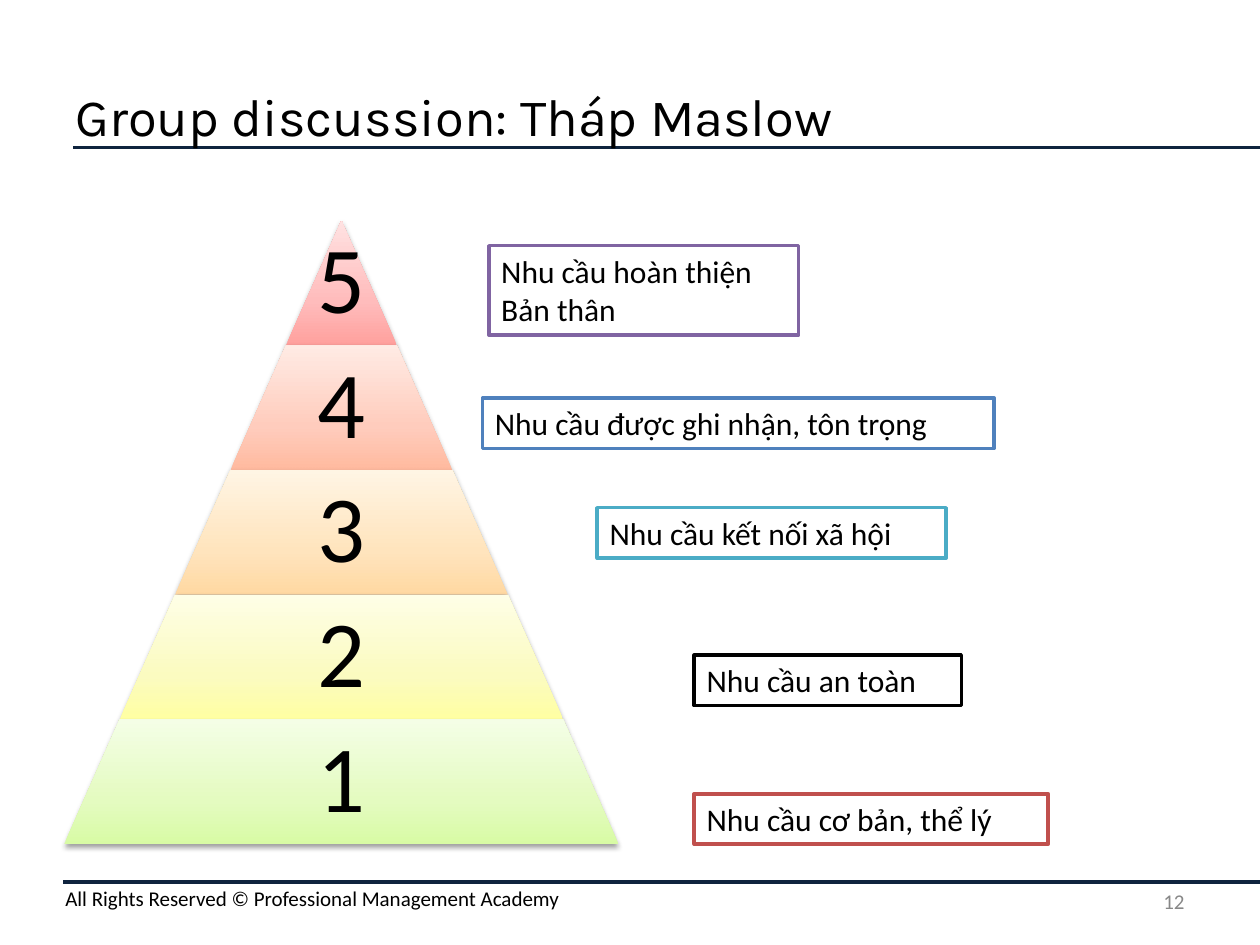
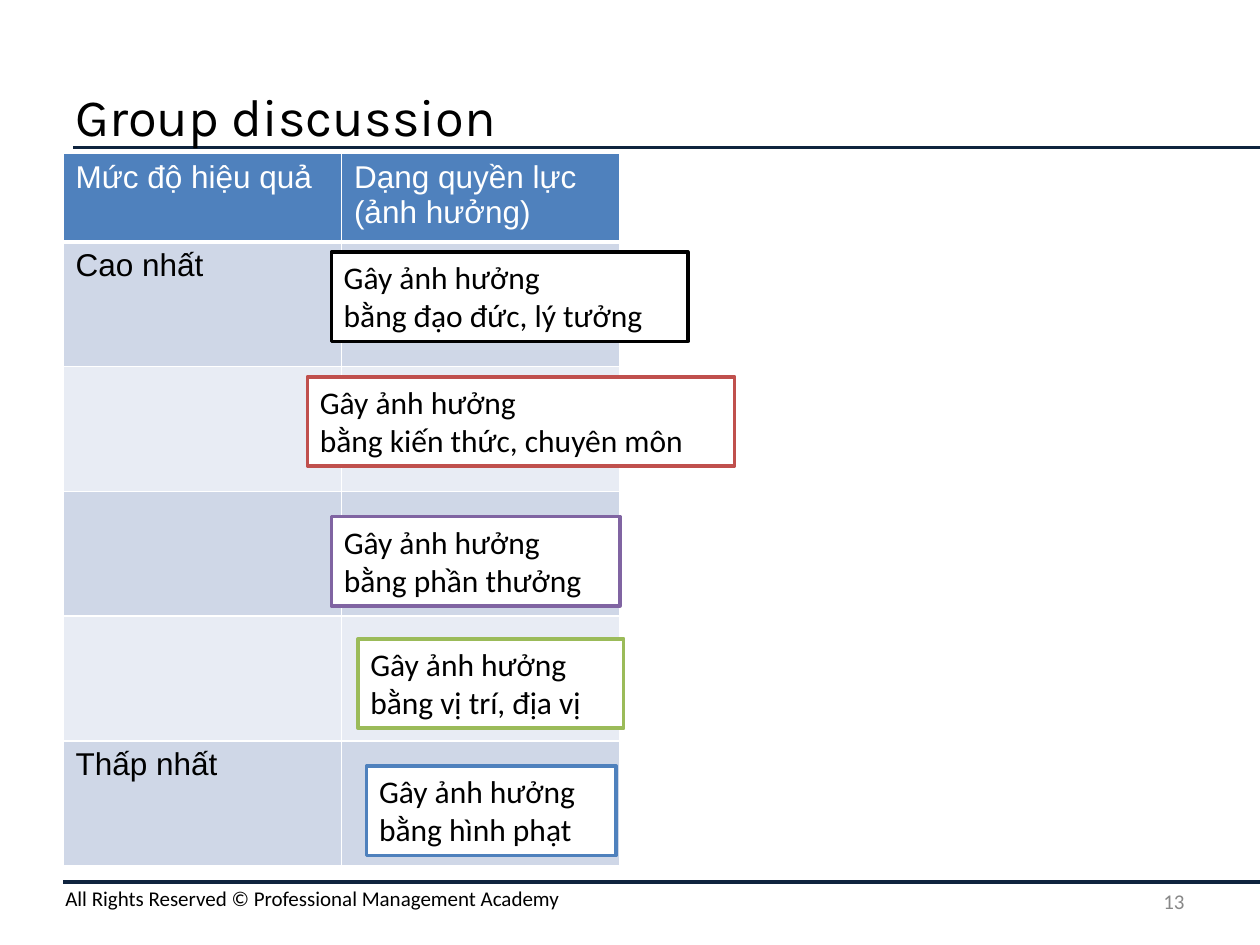
from dataclasses import dataclass

from lxml.etree import SubElement
from pptx import Presentation
from pptx.dml.color import RGBColor as RGB
from pptx.enum.shapes import MSO_CONNECTOR as CONNECTOR, MSO_SHAPE as SHAPE
from pptx.enum.text import MSO_ANCHOR as ANCHOR, PP_ALIGN as ALIGN
from pptx.oxml.ns import qn
from pptx.util import Inches, Pt


@dataclass(frozen=True)
class Theme:
    black: str = "000000"
    white: str = "FFFFFF"
    navy: str = "0F243E"
    grey: str = "888888"
    blue: str = "4F81BD"
    red: str = "C0504D"
    green: str = "9BBB59"
    purple: str = "8064A2"
    aqua: str = "4BACC6"
    band_dark: str = "CFD7E7"
    band_light: str = "E8ECF4"
    title_font: str = "Karla"
    body_font: str = "Calibri"
    table_font: str = "Arial"
    title_size: int = 30
    body_size: int = 18
    footer_size: int = 12
    tier_size: int = 54


theme = Theme()


def write(frame, text, *, size=theme.body_size, font=theme.body_font, color=theme.black,
          align=ALIGN.LEFT, anchor=ANCHOR.TOP, spacing=None):
    """Fill a text frame, one paragraph per line of text."""
    frame.word_wrap = True
    frame.vertical_anchor = anchor
    for index, line in enumerate(text.split("\n")):
        paragraph = frame.add_paragraph() if index else frame.paragraphs[0]
        paragraph.alignment = align
        paragraph.line_spacing = spacing
        run = paragraph.add_run()
        run.text = line
        run.font.size, run.font.name, run.font.bold = Pt(size), font, False
        run.font.color.rgb = RGB.from_string(color)


def text_box(slide, area, text, **text_format):
    """Add a plain text box; area is left, top, width, height in inches."""
    frame = slide.shapes.add_textbox(*map(Inches, area)).text_frame
    write(frame, text, **text_format)
    return frame


prs = Presentation()
prs.slide_width, prs.slide_height = Inches(10), Inches(7.5)

# Shared parts: title, rules, footer, page number
slides = []
for page, title in [(12, "Group discussion: Tháp Maslow"), (13, "Group discussion")]:
    slide = prs.slides.add_slide(prs.slide_layouts[6])
    slides.append(slide)
    for left, top in [(0.58, 1.17), (0.5, 7)]:
        rule = slide.shapes.add_connector(
            CONNECTOR.STRAIGHT, Inches(left), Inches(top), Inches(10), Inches(top))
        rule.line.color.rgb = RGB.from_string(theme.navy)
        rule.line.width = Pt(2)
        SubElement(rule._element.spPr, qn("a:effectLst"))
    text_box(slide, (7.17, 6.95, 2.33, 0.4), str(page), size=theme.footer_size,
             color=theme.grey, align=ALIGN.RIGHT, anchor=ANCHOR.MIDDLE)
    text_box(slide, (0.42, 6.98, 9.58, 0.3),
             "All Rights Reserved © Professional Management Academy", size=theme.footer_size)
    text_box(slide, (0.5, 0.5, 9, 0.83), title, size=theme.title_size,
             font=theme.title_font, anchor=ANCHOR.MIDDLE)
maslow, influence = slides

# Maslow pyramid: five tiers, each wider than the one above by the same step
tier_height, half_step, center, pyramid_top = 0.99, 0.44, 2.71, 1.75
tier_gradients = [
    ("FFA09D", "FFBCBC", "FFE2E2"),
    ("FFBA9F", "FFCCBD", "FFEBE4"),
    ("FFD8A2", "FFE4BD", "FFF5E4"),
    ("FFFFA2", "FBFBC0", "FEFEE6"),
    ("D8FBA5", "E4FBC0", "F4FEE6"),
]
for row, gradient in enumerate(tier_gradients):
    half_width = half_step * (row + 1)
    area = (center - half_width, pyramid_top + row * tier_height, 2 * half_width, tier_height)
    tier = maslow.shapes.add_shape(SHAPE.TRAPEZOID, *map(Inches, area))
    tier.adjustments[0] = half_step / min(2 * half_width, tier_height)
    tier.line.fill.background()
    tier.shadow.inherit = False

    # Three-stop gradient, darkest at the bottom
    tier.fill.gradient()
    tier.fill.gradient_angle = 90
    stops = tier._element.spPr.find(".//" + qn("a:gsLst"))
    for stop in list(stops):
        stops.remove(stop)
    for position, color in zip((0, 35, 100), gradient):
        stop = SubElement(stops, qn("a:gs"), pos=str(position * 1000))
        SubElement(stop, qn("a:srgbClr"), val=color)

    # Soft shadow below
    effects = tier._element.spPr.find(qn("a:effectLst"))
    shadow = SubElement(effects, qn("a:outerShdw"), blurRad=str(Pt(3.1)), dist=str(Pt(1.6)),
                        dir="5400000", rotWithShape="0")
    shade = SubElement(shadow, qn("a:srgbClr"), val=theme.black)
    SubElement(shade, qn("a:alpha"), val="37000")

    number = text_box(maslow, area, str(5 - row), size=theme.tier_size, align=ALIGN.CENTER,
                      anchor=ANCHOR.MIDDLE, spacing=0.9)
    number.margin_left = number.margin_right = Inches(0.07)
    number.margin_top = number.margin_bottom = Inches(0.07)

# Influence table
levels = [("Mức độ hiệu quả", "Dạng quyền lực (ảnh hưởng)"), ("Cao nhất", ""),
          ("", ""), ("", ""), ("", ""), ("Thấp nhất", "")]
row_heights = [0.69] + [0.99] * 5
table = influence.shapes.add_table(
    len(levels), 2, Inches(0.5), Inches(1.22), Inches(4.42), Inches(sum(row_heights))).table
table.first_row = table.horz_banding = False
for column in table.columns:
    column.width = Inches(2.21)
for row, texts in enumerate(levels):
    table.rows[row].height = Inches(row_heights[row])
    fill = theme.blue if row == 0 else theme.band_dark if row % 2 else theme.band_light
    for col, text in enumerate(texts):
        cell = table.cell(row, col)
        borders = {"L": 1, "R": 1, "T": 3 if row == 1 else 1, "B": 3 if row == 0 else 1}
        for side, width in borders.items():
            border = SubElement(cell._tc.get_or_add_tcPr(), qn("a:ln" + side), w=str(Pt(width)))
            paint = SubElement(border, qn("a:solidFill"))
            SubElement(paint, qn("a:srgbClr"), val=theme.white)
        cell.fill.solid()
        cell.fill.fore_color.rgb = RGB.from_string(fill)
        if text:
            write(cell.text_frame, text, font=theme.table_font,
                  color=theme.black if row else theme.white)

# Outlined answer labels: left, top, width, outline, text
needs = [
    (5.51, 6.3, 2.81, theme.red, "Nhu cầu cơ bản, thể lý"),
    (5.51, 5.2, 2.12, theme.black, "Nhu cầu an toàn"),
    (4.74, 4.03, 2.77, theme.aqua, "Nhu cầu kết nối xã hội"),
    (3.83, 3.16, 4.06, theme.blue, "Nhu cầu được ghi nhận, tôn trọng"),
    (3.88, 1.95, 2.46, theme.purple, "Nhu cầu hoàn thiện\nBản thân"),
]
powers = [
    (2.91, 6.08, 1.98, theme.blue, "Gây ảnh hưởng\nbằng hình phạt"),
    (2.63, 2, 2.83, theme.black, "Gây ảnh hưởng\nbằng đạo đức, lý tưởng"),
    (2.44, 2.99, 3.39, theme.red, "Gây ảnh hưởng\nbằng kiến thức, chuyên môn"),
    (2.84, 5.07, 2.11, theme.green, "Gây ảnh hưởng\nbằng vị trí, địa vị"),
    (2.63, 4.1, 2.29, theme.purple, "Gây ảnh hưởng\nbằng phần thưởng"),
]
for slide, answers in [(maslow, needs), (influence, powers)]:
    for left, top, width, outline, text in answers:
        height = 0.09 + 0.31 * len(text.split("\n"))
        answer = slide.shapes.add_shape(
            SHAPE.RECTANGLE, Inches(left), Inches(top), Inches(width), Inches(height))
        answer.shadow.inherit = False
        answer.fill.solid()
        answer.fill.fore_color.rgb = RGB.from_string(theme.white)
        answer.line.color.rgb = RGB.from_string(outline)
        answer.line.width = Pt(2)
        write(answer.text_frame, text)

prs.save("out.pptx")
